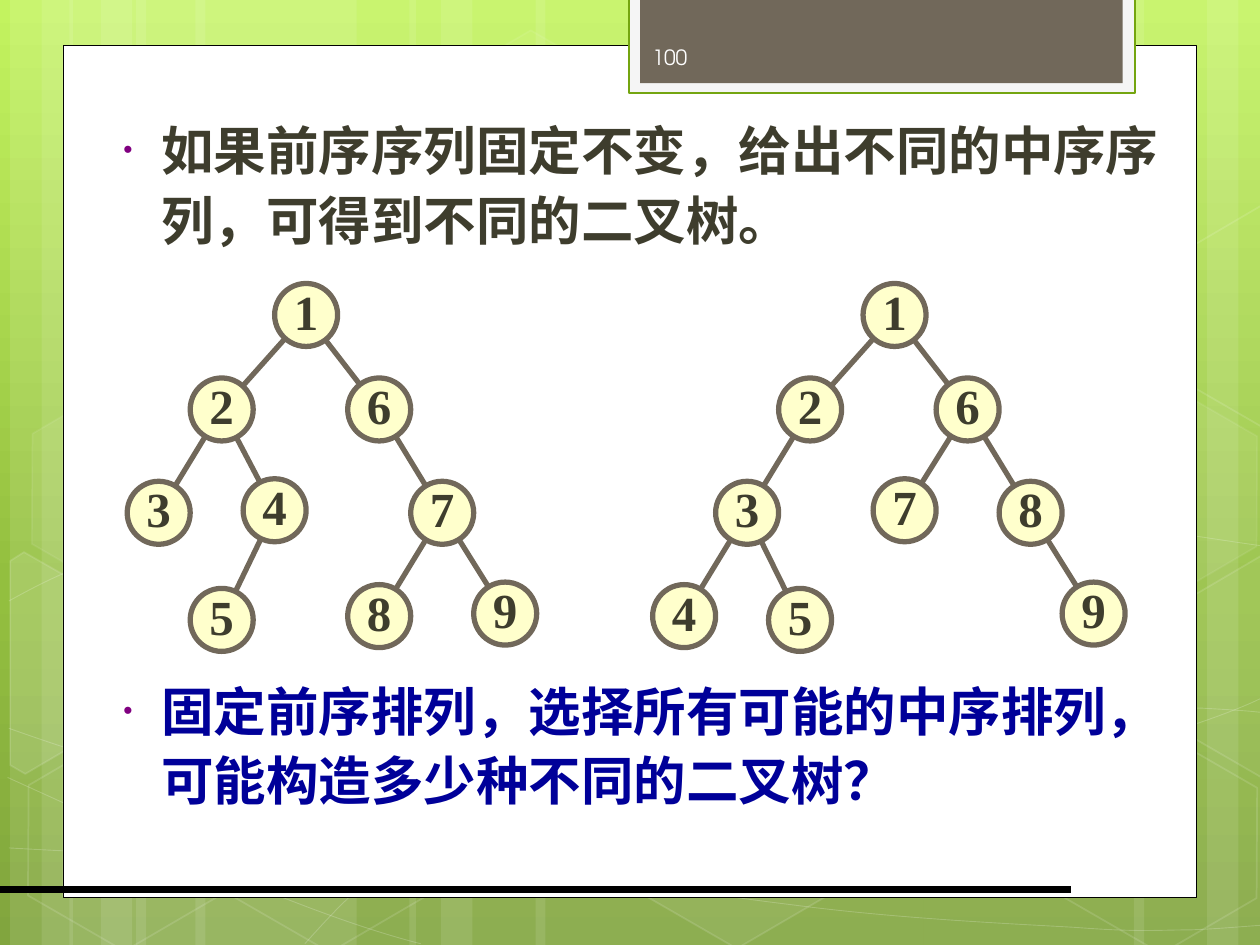
from dataclasses import dataclass
from math import cos, hypot, radians, sin

from lxml.etree import SubElement
from pptx import Presentation
from pptx.dml.color import RGBColor
from pptx.enum.shapes import MSO_CONNECTOR, MSO_SHAPE
from pptx.enum.text import MSO_ANCHOR, MSO_AUTO_SIZE, PP_ALIGN
from pptx.oxml.ns import qn
from pptx.util import Inches, Pt


@dataclass(frozen=True)
class Theme:
    white: str = "FFFFFF"
    black: str = "000000"
    panel: str = "F5F5F5"
    green: str = "74A510"
    brown: str = "71685A"
    node: str = "FFFFCC"
    text: str = "3E3D2D"
    question: str = "000099"
    bullet: str = "800080"
    number: str = "FEFEFE"
    gradient: tuple = ((0, "C3F35F"), (62, "93BF3F"), (100, "81A53E"))
    body_size: int = 30
    node_size: int = 28
    number_size: int = 12
    latin: str = "TeX Gyre Adventor"
    chinese: str = "Noto Sans CJK SC"
    serif: str = "Times New Roman"


theme = Theme()


def paint(shape, fill=None, line=None, width=1, fill_alpha=100, line_alpha=100):
    """Set fill, outline and their opacity, and switch the shadow off."""
    properties = shape._element.spPr
    outline = shape.line.fill
    parts = [(outline, line, line_alpha)]
    if hasattr(shape, "fill"):
        parts.append((shape.fill, fill, fill_alpha))
    for part, color, alpha in parts:
        if color is None:
            part.background()
            continue
        part.solid()
        part.fore_color.rgb = RGBColor.from_string(color)
        owner = properties.find(qn("a:ln")) if part is outline else properties
        if alpha < 100:
            tag = owner.find(qn("a:solidFill")).find(qn("a:srgbClr"))
            SubElement(tag, qn("a:alpha"), val=str(alpha * 1000))
    if line:
        shape.line.width = Pt(width)
    SubElement(properties, qn("a:effectLst"))


def write(para, text, **formats):
    """Add one run and set its font from the given values."""
    span = para.add_run()
    span.text = text
    span.font.color.rgb = RGBColor.from_string(formats.pop("color"))
    for name, value in formats.items():
        setattr(span.font, name, value)
    SubElement(span._r.get_or_add_rPr(), qn("a:ea"), typeface=theme.chinese)


deck = Presentation()
deck.slide_width, deck.slide_height = Inches(10), Inches(7.5)
page = deck.slides.add_slide(deck.slide_layouts[1])
title = page.shapes.title
title._element.getparent().remove(title._element)
body = page.placeholders[1]

# Background gradient
background = page.background.fill
background.gradient()
background.gradient_angle = 270
stops = page._element.find(".//" + qn("a:gsLst"))
for stop in list(stops):
    stops.remove(stop)
for position, color in theme.gradient:
    stop = SubElement(stops, qn("a:gs"), pos=str(position * 1000))
    SubElement(stop, qn("a:srgbClr"), val=color)

# Pale vertical stripes: left, width
stripes = [(1.08, 1.75), (0.08, 0.5), (0.33, 0.83), (1.55, 1.75), (0.55, 0.5), (0.8, 0.83),
           (7.33, 1.75), (9.58, 0.5), (9, 0.83), (4.25, 3.08), (3.25, 0.5), (3.5, 0.83)]
for left, width in stripes:
    stripe = page.shapes.add_shape(
        MSO_SHAPE.RECTANGLE, Inches(left), 0, Inches(width), deck.slide_height)
    paint(stripe, theme.white, fill_alpha=10)

# Thin curves: a start, then two control points and an end for each cubic
curves = [
    [(0.07, 6.73), (0.61, 6.76), (1.15, 6.79), (1.9, 6.78), (2.65, 6.77), (3.58, 6.75),
     (4.58, 6.65), (5.58, 6.55), (7, 6.36), (7.92, 6.17), (8.83, 5.98), (9.77, 5.68),
     (10.07, 5.51)],
    [(0.07, 4.77), (0.36, 4.61), (0.65, 4.46), (1.21, 4.31), (1.78, 4.16), (2.59, 3.94),
     (3.47, 3.87), (4.36, 3.8), (5.44, 3.79), (6.54, 3.87), (7.64, 3.95), (9.47, 4.26),
     (10.07, 4.34)],
    [(0.06, 6.17), (1.27, 6.72), (2.47, 7.27), (3.34, 7.49)],
    [(0.07, 5.78), (0.38, 5.89), (0.7, 6), (1.28, 6.16), (1.86, 6.31), (2.73, 6.56),
     (3.57, 6.73), (4.4, 6.9), (5.45, 7.08), (6.28, 7.18), (7.11, 7.29), (8, 7.33),
     (8.53, 7.36), (9.05, 7.4), (9.19, 7.38), (9.45, 7.38), (9.71, 7.37), (9.89, 7.35),
     (10.07, 7.34)],
    [(2.42, 7.49), (2.6, 7.29), (2.78, 7.09), (3.02, 6.91), (3.26, 6.73), (3.6, 6.53),
     (3.88, 6.39), (4.16, 6.25), (4.33, 6.19), (4.7, 6.09), (5.06, 5.99), (5.73, 5.85),
     (6.08, 5.78), (6.44, 5.71), (6.49, 5.71), (6.8, 5.69), (7.11, 5.66), (7.6, 5.63),
     (7.94, 5.62), (8.29, 5.61), (8.86, 5.62), (8.86, 5.62), (9.08, 5.62), (9.31, 5.62),
     (9.53, 5.62), (9.71, 5.63), (9.88, 5.64), (9.97, 5.65), (10.06, 5.66), (10.03, 5.65),
     (10.06, 5.66)],
]
for curve in curves:
    start, *controls = [(Inches(x), Inches(y)) for x, y in curve]
    builder = page.shapes.build_freeform(*start)
    builder.add_line_segments(controls, close=False)
    shape = builder.convert_to_shape()
    outline = shape._element.find(".//" + qn("a:path"))
    for index, segment in enumerate(outline.findall(qn("a:lnTo"))):
        if index % 3 == 0:
            cubic = SubElement(outline, qn("a:cubicBezTo"))
        cubic.append(segment[0])
        outline.remove(segment)
    paint(shape, line=theme.white, width=0.5, line_alpha=20)

# Whole hexagons: left, top, fill opacity, line opacity
hexagons = [(3.34, 0.36, 4, 8), (4.97, 5.89, 6, 12), (0.11, 5.91, 0, 12), (0.14, 3.12, 7, 8),
            (1.74, 5.92, 0, 12), (7.53, 4.53, 10, 12), (8.34, 5.93, 0, 12), (8.34, 3.14, 7, 8)]
tilt = 30
for left, top, fill_alpha, line_alpha in hexagons:
    hexagon = page.shapes.add_shape(
        MSO_SHAPE.HEXAGON, Inches(left), Inches(top), Inches(1.75), Inches(1.52))
    hexagon.adjustments[0] = 0.285
    hexagon.rotation = tilt
    paint(hexagon, theme.white if fill_alpha else None, theme.white, 1, fill_alpha, line_alpha)

# Hexagons cut by the slide edge: fill opacity, centre of rotation, corners as seen
cut_hexagons = [
    (10, (0.36, 5.35),
     [(0.08, 4.45), (0.19, 4.38), (0.96, 4.82), (0.95, 5.7), (0.2, 6.14), (0.08, 6.07)]),
    (4, (9.85, 5.2),
     [(9.26, 4.85), (10.01, 4.41), (10.09, 4.46), (10.09, 6.13), (10.02, 6.17), (9.26, 5.73)]),
    (0, (9.85, 2.41),
     [(9.26, 2.07), (10.01, 1.63), (10.1, 1.68), (10.09, 3.35), (10.02, 3.39), (9.26, 2.95)]),
]
cosine, sine = cos(radians(tilt)), sin(radians(tilt))
for fill_alpha, (mid_x, mid_y), corners in cut_hexagons:
    upright = [(Inches(mid_x + (x - mid_x) * cosine + (y - mid_y) * sine),
                Inches(mid_y - (x - mid_x) * sine + (y - mid_y) * cosine)) for x, y in corners]
    builder = page.shapes.build_freeform(*upright[0])
    builder.add_line_segments(upright[1:], close=True)
    shape = builder.convert_to_shape()
    shape.rotation = tilt
    paint(shape, theme.white if fill_alpha else None, theme.white, 1, fill_alpha, 12)

# White sheet, number tab and rule
panels = [((0.5, 0.36, 9, 6.76), theme.white, theme.black, 0.5),
          ((4.99, -0.02, 4.02, 0.76), theme.panel, theme.green, 1.25),
          ((5.08, -0.02, 3.83, 0.68), theme.brown, None, 0)]
for place, fill, line, width in panels:
    panel = page.shapes.add_shape(MSO_SHAPE.RECTANGLE, *map(Inches, place))
    paint(panel, fill, line, width)
rule = page.shapes.add_connector(
    MSO_CONNECTOR.STRAIGHT, 0, Inches(7.06), Inches(8.5), Inches(7.06))
paint(rule, line=theme.black, width=4.5)

# Statement and question, with room for the trees between them
page.shapes._spTree.append(body._element)
body.left, body.top, body.width, body.height = map(Inches, (0.8, 0.84, 8.68, 6.06))
frame = body.text_frame
frame.word_wrap = True
frame.auto_size = MSO_AUTO_SIZE.NONE
frame.vertical_anchor = MSO_ANCHOR.TOP
items = [
    ("如果前序序列固定不变，给出不同的中序序列，可得到不同的二叉树。", theme.text, theme.latin, 0),
    ("固定前序排列，选择所有可能的中序排列，可能构造多少种不同的二叉树？",
     theme.question, theme.chinese, 241),
]
for number, (text, color, font, gap) in enumerate(items):
    para = frame.add_paragraph() if number else frame.paragraphs[0]
    settings = para._p.get_or_add_pPr()
    settings.set("marL", str(Inches(0.38)))
    settings.set("indent", str(Inches(-0.3)))
    SubElement(SubElement(settings, qn("a:buClr")), qn("a:srgbClr"), val=theme.bullet)
    SubElement(settings, qn("a:buSzPct"), val="50000")
    SubElement(settings, qn("a:buChar"), char="•")
    para.line_spacing = 1.1
    para.space_before = Pt(gap)
    write(para, text, color=color, size=Pt(theme.body_size), name=font, bold=True)

# Slide number
box = page.shapes.add_textbox(Inches(5.08), Inches(0.25), Inches(1.46), Inches(0.4))
box.text_frame.word_wrap = True
box.text_frame.vertical_anchor = MSO_ANCHOR.MIDDLE
write(box.text_frame.paragraphs[0], "100", color=theme.number,
      size=Pt(theme.number_size), name=theme.latin)

# Binary trees: label -> parent label, centre
trees = [
    {"1": (None, 2.43, 2.5), "2": ("1", 1.76, 3.25), "6": ("1", 3.01, 3.25),
     "3": ("2", 1.26, 4.07), "4": ("2", 2.18, 4.05), "5": ("4", 1.76, 4.92),
     "7": ("6", 3.51, 4.07), "8": ("7", 3.01, 4.89), "9": ("7", 4.01, 4.87)},
    {"1": (None, 7.1, 2.5), "2": ("1", 6.43, 3.25), "6": ("1", 7.68, 3.25),
     "3": ("2", 5.93, 4.07), "4": ("3", 5.43, 4.89), "5": ("3", 6.35, 4.92),
     "7": ("6", 7.18, 4.05), "8": ("6", 8.18, 4.07), "9": ("8", 8.68, 4.87)},
]
diameter, inset = 0.5, 0.2
layout = dict(margin_left=0, margin_right=0, margin_top=0, margin_bottom=Inches(0.07),
              word_wrap=False, vertical_anchor=MSO_ANCHOR.MIDDLE)
for nodes in trees:
    tree = page.shapes.add_group_shape()
    for parent, x, y in nodes.values():
        if parent:
            start_x, start_y = nodes[parent][1:]
            share = inset / hypot(x - start_x, y - start_y)
            dx, dy = (x - start_x) * share, (y - start_y) * share
            edge = tree.shapes.add_connector(MSO_CONNECTOR.STRAIGHT, *map(
                Inches, (start_x + dx, start_y + dy, x - dx, y - dy)))
            paint(edge, line=theme.brown, width=3)
    for label, (parent, x, y) in nodes.items():
        node = tree.shapes.add_shape(MSO_SHAPE.OVAL, *map(
            Inches, (x - diameter / 2, y - diameter / 2, diameter, diameter)))
        paint(node, theme.node, theme.brown, 3)
        for name, value in layout.items():
            setattr(node.text_frame, name, value)
        para = node.text_frame.paragraphs[0]
        para.alignment = PP_ALIGN.CENTER
        write(para, label, color=theme.text, size=Pt(theme.node_size),
              name=theme.serif, bold=True)

deck.save("out.pptx")
